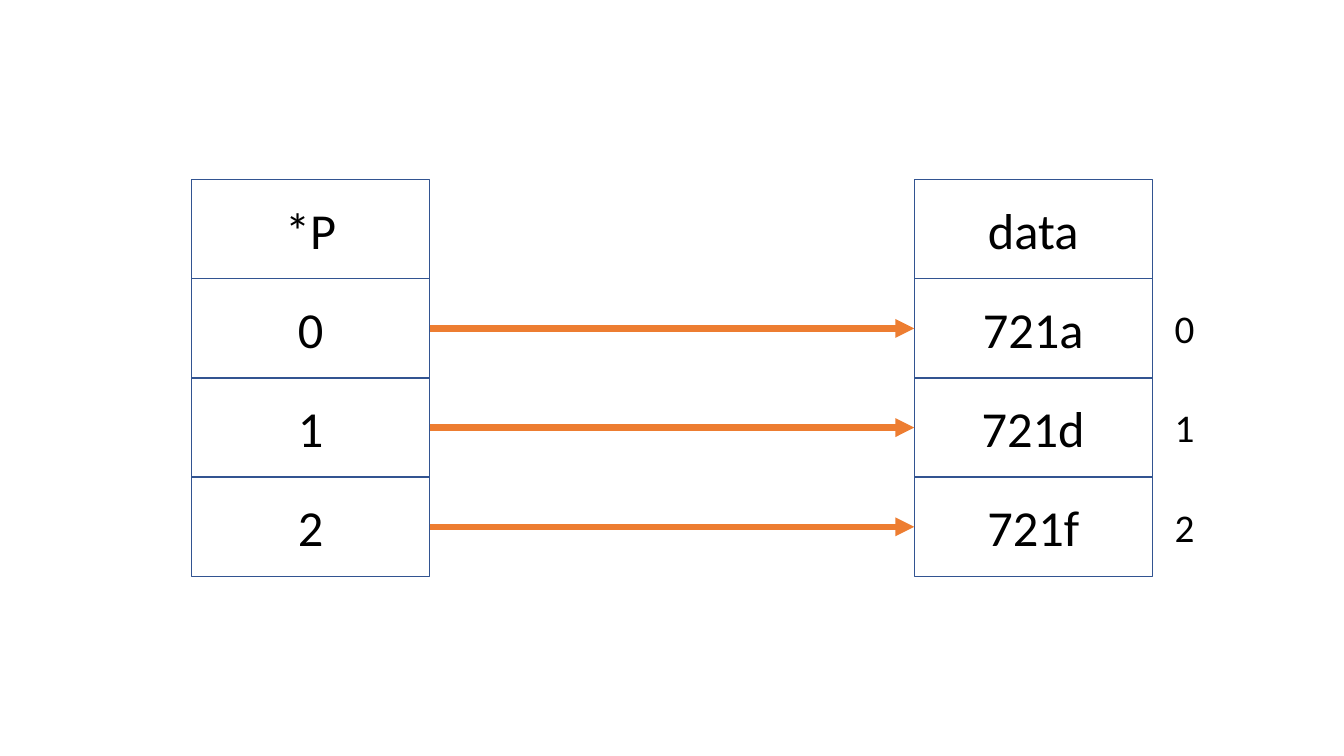
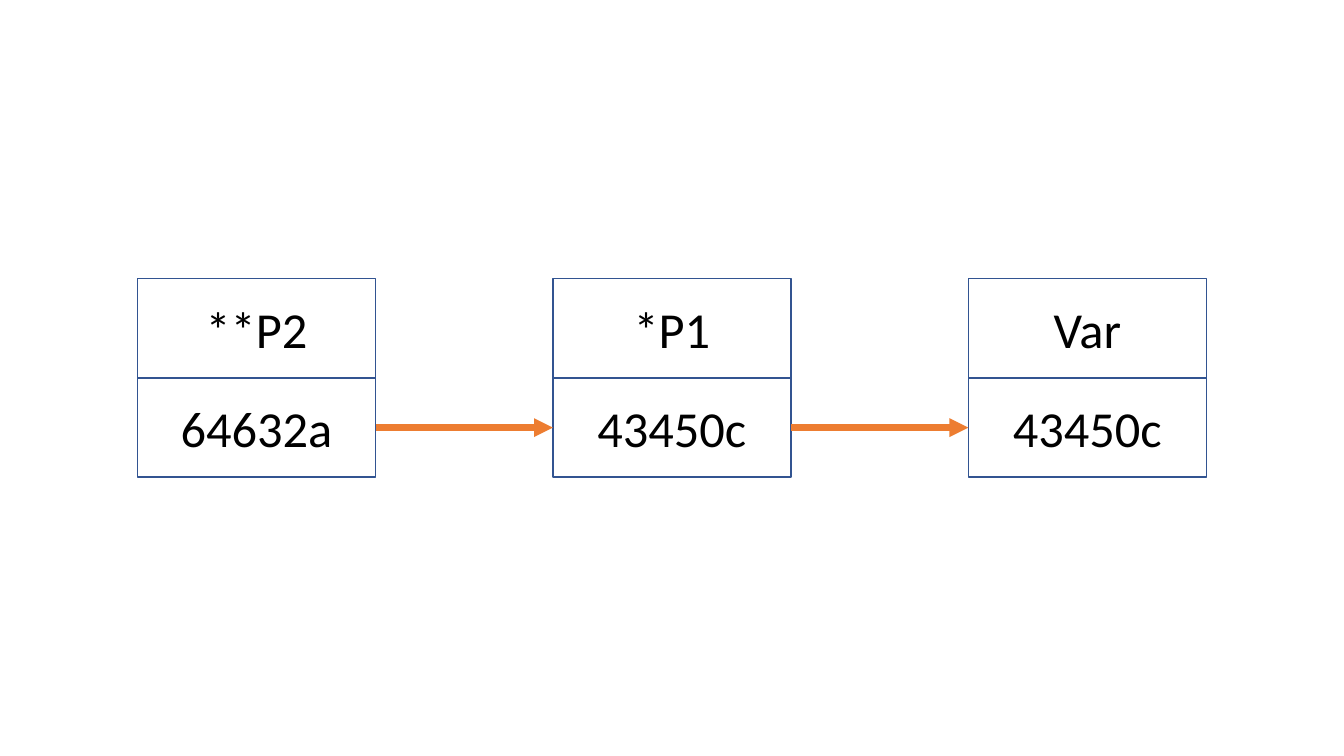
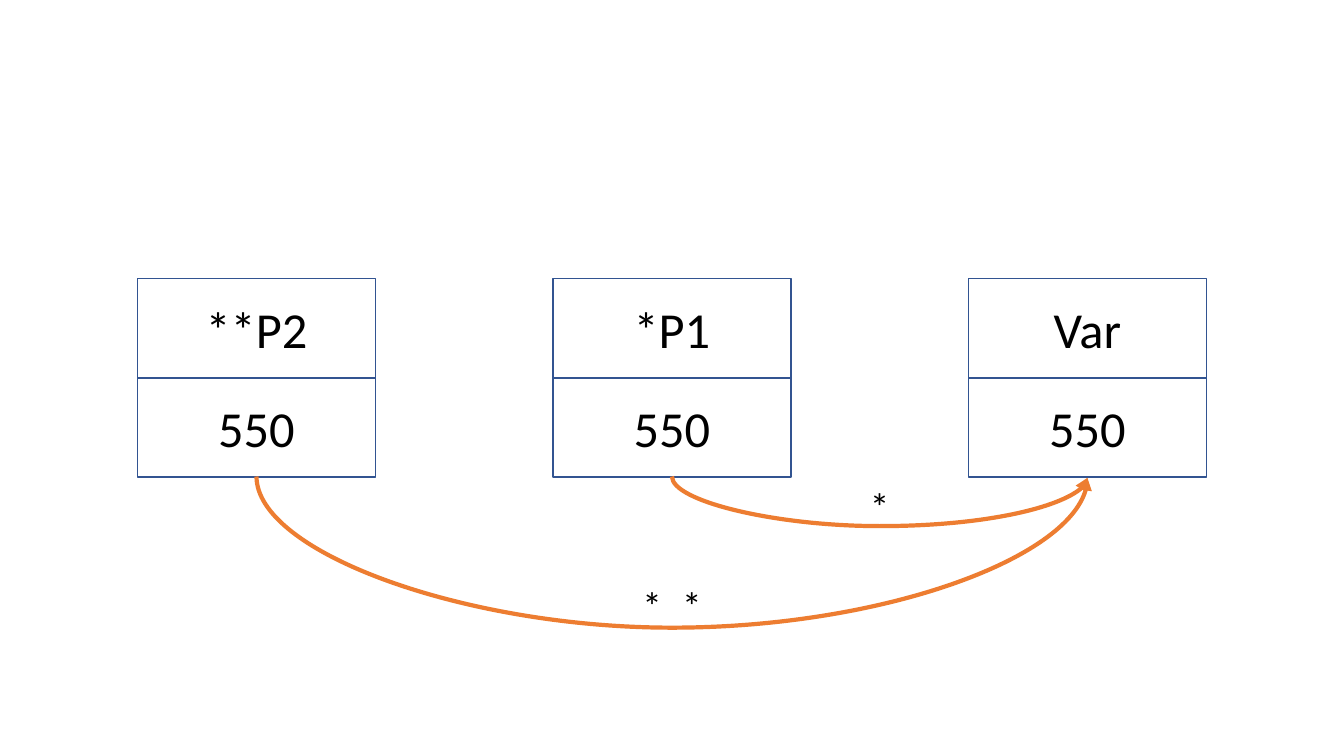
from lxml.etree import SubElement
from pptx import Presentation
from pptx.dml.color import RGBColor
from pptx.enum.shapes import MSO_CONNECTOR, MSO_SHAPE
from pptx.enum.text import MSO_ANCHOR, MSO_AUTO_SIZE, PP_ALIGN
from pptx.oxml.ns import qn
from pptx.util import Cm, Pt

ARRAY = [["*P", "0", "1", "2"], ["data", "721a", "721d", "721f"]]
INDEX = ["0", "1", "2"]
CHAIN = [["**P2", "64632a"], ["*P1", "43450c"], ["Var", "43450c"]]
VALUES = [["**P2", "550"], ["*P1", "550"], ["Var", "550"]]
# start stack, end stack, depth of the curve, stars
JUMPS = [(1, 2, 1.26, 1), (0, 2, 3.84, 2)]

COLORS = {"edge": "325491", "arrow": "ED7D31", "text": "000000"}
FONT = "Calibri"
WIDE, HIGH = 33.87, 19.05
CELL_W, CELL_H = 6, 2.5
ARRAY_STEP, CHAIN_STEP = 18.21, 10.47
TAG_H, TAG_GAP, TAG_W = 1.45, 0.28, 1.07
STAR_W = 1
TOP, LEFT, BOTTOM, RIGHT = range(4)


def color(name):
    """Return a palette colour."""
    return RGBColor.from_string(COLORS[name])


def write(shape, text, size):
    """Put centred text into a shape."""
    para = shape.text_frame.paragraphs[0]
    para.text = text
    para.alignment = PP_ALIGN.CENTER
    font = para.runs[0].font
    font.name, font.size = FONT, Pt(size)
    font.color.rgb = color("text")


def add_stack(slide, words, left):
    """Draw one column of cells, centred in height, as a group."""
    group = slide.shapes.add_group_shape()
    top = (HIGH - len(words) * CELL_H) / 2
    cells = []
    for row, word in enumerate(words):
        cell = group.shapes.add_shape(
            MSO_SHAPE.RECTANGLE, Cm(left), Cm(top + row * CELL_H),
            Cm(CELL_W), Cm(CELL_H))
        cell.shadow.inherit = False
        cell.fill.background()
        cell.line.color.rgb = color("edge")
        cell.line.width = Pt(1)
        cell.text_frame.vertical_anchor = MSO_ANCHOR.MIDDLE
        write(cell, word, 36)
        cells.append(cell)
    return cells


def add_stacks(slide, stacks, step):
    """Draw evenly spaced stacks, centred in width."""
    left = (WIDE - CELL_W - (len(stacks) - 1) * step) / 2
    return [add_stack(slide, words, left + col * step)
            for col, words in enumerate(stacks)]


def add_tag(slide, text, left, top, width, wrap):
    """Add a small free label."""
    box = slide.shapes.add_textbox(Cm(left), Cm(top), Cm(width), Cm(TAG_H))
    box.text_frame.word_wrap = wrap
    box.text_frame.auto_size = MSO_AUTO_SIZE.SHAPE_TO_FIT_TEXT
    write(box, text, 28)


def add_arrow(slide, kind, start, end, sides, width):
    """Join two level cells with an arrow."""
    arrow = slide.shapes.add_connector(kind, 0, 0, 0, 0)
    arrow.begin_connect(start, sides[0])
    arrow.end_connect(end, sides[1])
    # Connecting level cells leaves a vertical flip behind.
    arrow.element.spPr.find(qn("a:xfrm")).attrib.pop("flipV", None)
    arrow.line.color.rgb = color("arrow")
    arrow.line.width = Pt(width)
    SubElement(arrow.line._get_or_add_ln(), qn("a:tailEnd"), type="triangle")
    SubElement(arrow.element.spPr, qn("a:effectLst"))
    return arrow


def add_link(slide, start, end):
    """Draw a straight arrow from one cell to the next."""
    add_arrow(slide, MSO_CONNECTOR.STRAIGHT, start, end, (RIGHT, LEFT), 4.5)


def add_jump(slide, start, end, depth):
    """Draw a curved arrow that sags below two cells."""
    arrow = add_arrow(slide, MSO_CONNECTOR.CURVE, start, end,
                      (BOTTOM, BOTTOM), 3)
    span, thin = end.left - start.left, Pt(1)
    mid = (start.left + end.left + start.width) // 2
    base = start.top + start.height
    arrow.left, arrow.top = mid - thin // 2, base - span // 2
    arrow.width, arrow.height = thin, span
    frame = arrow.element.spPr.find(qn("a:xfrm"))
    frame.set("rot", str(270 * 60000))
    frame.set("flipH", "1")
    guides = next(arrow.element.iter(qn("a:avLst")))
    bend = round(Cm(depth) / thin * 100000)
    SubElement(guides, qn("a:gd"), name="adj1", fmla=f"val {bend}")


def draw_array(slide):
    """Show a pointer array beside its data."""
    left, right = add_stacks(slide, ARRAY, ARRAY_STEP)
    for start, end, text in zip(left[1:], right[1:], INDEX):
        add_link(slide, start, end)
        add_tag(slide, text, end.left.cm + CELL_W + TAG_GAP,
                end.top.cm + (CELL_H - TAG_H) / 2, TAG_W, True)


def draw_chain(slide):
    """Show a pointer to a pointer to a variable."""
    stacks = add_stacks(slide, CHAIN, CHAIN_STEP)
    for start, end in zip(stacks, stacks[1:]):
        add_link(slide, start[-1], end[-1])


def draw_values(slide):
    """Show how stars lead each pointer to the value."""
    stacks = add_stacks(slide, VALUES, CHAIN_STEP)
    for first, last, depth, stars in JUMPS:
        start, end = stacks[first][-1], stacks[last][-1]
        add_jump(slide, start, end, depth)
        left = (start.left.cm + end.left.cm + CELL_W - stars * STAR_W) / 2
        top = start.top.cm + stars * CELL_H
        for star in range(stars):
            add_tag(slide, "*", left + star * STAR_W, top, STAR_W, False)


deck = Presentation()
deck.slide_width, deck.slide_height = Cm(WIDE), Cm(HIGH)
for draw in (draw_array, draw_chain, draw_values):
    draw(deck.slides.add_slide(deck.slide_layouts[6]))
deck.save("out.pptx")
